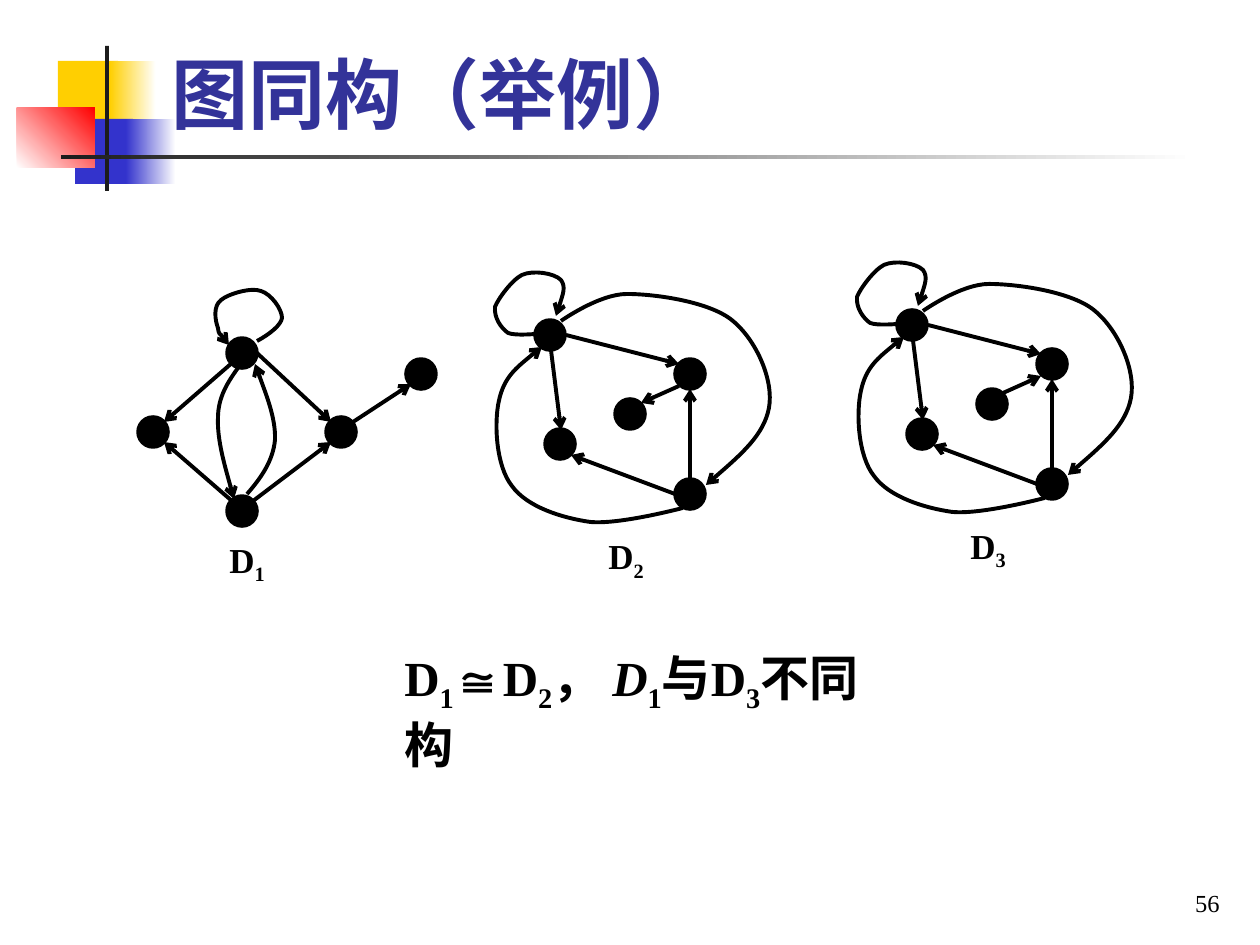
from lxml import etree
from pptx import Presentation
from pptx import util as u
from pptx.dml.color import RGBColor
from pptx.enum import shapes, text
from pptx.oxml.ns import qn

COLORS = {
    "yellow": "FFCF01", "blue": "3333CC", "red": "FF0000", "white": "FFFFFF",
    "dark": "1C1C1C", "title": "333399", "black": "000000",
}
SCALE = u.Inches(1) / 126
SERIF = "Times New Roman"
SUB = {"baseline": "-25000"}


def px(value):
    return u.Emu(round(value * SCALE))


def rgb(name):
    return RGBColor.from_string(COLORS[name])


class Sketch:
    def __init__(self, page):
        self.page = page
        self.canvas = page.shapes

    def start_group(self):
        group = self.page.shapes.add_group_shape()
        self.canvas = group.shapes
        return group

    def end_group(self):
        self.canvas = self.page.shapes

    def block(self, left, top, width, height, *names, angle=0):
        box = self.canvas.add_shape(
            shapes.MSO_SHAPE.RECTANGLE, *map(px, (left, top, width, height)))
        box.shadow.inherit = False
        box.line.fill.background()
        if len(names) == 1:
            box.fill.solid()
            box.fill.fore_color.rgb = rgb(names[0])
            return
        box.fill.gradient()
        box.fill.gradient_angle = angle
        for stop, name in zip(box.fill.gradient_stops, names):
            stop.color.rgb = rgb(name)

    def node(self, x, y, radius=15):
        dot = self.canvas.add_shape(
            shapes.MSO_SHAPE.OVAL, px(x - radius), px(y - radius),
            px(2 * radius), px(2 * radius))
        dot.shadow.inherit = False
        dot.fill.solid()
        dot.fill.fore_color.rgb = rgb("black")
        dot.line.color.rgb = rgb("black")
        dot.line.width = u.Pt(2)

    def ink(self, stroke, arrow):
        stroke.line.color.rgb = rgb("black")
        stroke.line.width = u.Pt(2.25)
        outline = stroke._element.spPr.find(qn("a:ln"))
        etree.SubElement(outline, qn(f"a:{arrow}End"), type="arrow")

    def edge(self, x1, y1, x2, y2, arrow="tail"):
        link = self.canvas.add_connector(
            shapes.MSO_CONNECTOR.STRAIGHT, *map(px, (x1, y1, x2, y2)))
        self.ink(link, arrow)
        etree.SubElement(link._element.spPr, qn("a:effectLst"))

    def curve(self, points, arrow="tail"):
        points = [(px(x), px(y)) for x, y in points]
        builder = self.canvas.build_freeform(*points[0], scale=1.0)
        builder.add_line_segments(points[1:], close=False)
        arc = builder.convert_to_shape()
        arc.shadow.inherit = False
        arc.fill.background()
        self.ink(arc, arrow)
        steps = list(arc._element.iter(qn("a:lnTo")))
        for first in range(0, len(steps), 3):
            bezier = etree.Element(qn("a:cubicBezTo"))
            steps[first].addprevious(bezier)
            for step in steps[first:first + 3]:
                bezier.append(step[0])
                step.getparent().remove(step)

    def words(self, left, top, width, height, spans, size, font=SERIF,
              color="black", bold=True, align=text.PP_ALIGN.LEFT,
              anchor=text.MSO_ANCHOR.TOP, wrap=True):
        box = self.canvas.add_textbox(*map(px, (left, top, width, height)))
        frame = {"word_wrap": wrap, "vertical_anchor": anchor}
        for key, value in frame.items():
            setattr(box.text_frame, key, value)
        para = box.text_frame.paragraphs[0]
        para.alignment = align
        for content, extra in spans:
            span = para.add_run()
            span.text = content
            style = {"name": font, "size": u.Pt(size), "bold": bold,
                     "italic": extra.get("italic", False)}
            for key, value in style.items():
                setattr(span.font, key, value)
            span.font.color.rgb = rgb(color)
            if "baseline" in extra:
                span._r.get_or_add_rPr().set("baseline", extra["baseline"])

    def label(self, left, top, number):
        self.words(left, top, 63, 55, [("D", {}), (number, SUB)], 20, wrap=False)


def draw_masthead(sketch):
    sketch.block(58, 61, 60, 65, "yellow")
    sketch.block(110, 61, 46, 65, "yellow", "white")
    sketch.block(75, 119, 58, 65, "blue")
    sketch.block(126, 119, 50, 65, "blue", "white")
    sketch.block(17, 108, 78, 60, "white", "red", angle=45)
    sketch.block(105, 46, 4, 145, "dark")
    sketch.block(61, 155, 1134, 4, "dark", "white")
    sketch.words(159, 10, 1074, 135, [("图同构（举例）", {})], 44, font="Lato",
                 color="title", anchor=text.MSO_ANCHOR.BOTTOM)


def draw_first_graph(sketch):
    sketch.start_group()
    for center in ((242, 353), (153, 432), (341, 432), (242, 511), (421, 374)):
        sketch.node(*center)
    for ends in ((232, 363, 164, 422), (257, 353, 331, 422),
                 (232, 501, 164, 442), (253, 501, 331, 442),
                 (353, 422, 411, 384)):
        sketch.edge(*ends)
    down = [(238, 368), (228, 382), (218, 397), (218, 418),
            (217, 441), (234, 499), (234, 499)]
    up = [(247, 494), (261, 478), (273, 461), (275, 440),
          (276, 418), (255, 364), (255, 364)]
    loop = [(257, 341), (270, 334), (281, 325), (282, 318),
            (282, 309), (271, 294), (261, 291), (251, 287), (228, 294),
            (221, 300), (213, 306), (215, 320), (218, 328),
            (219, 335), (229, 345), (229, 345)]
    for points in (down, up, loop):
        sketch.curve(points)
    sketch.label(217, 532, "1")
    sketch.end_group()


def draw_looped_graph(sketch, number, inner_arrow, dx=0, dy=0):
    group = sketch.start_group()
    for center in ((550, 335), (690, 374), (560, 444), (690, 494), (630, 414)):
        sketch.node(*center)
    for ends in ((566, 335, 679, 364), (551, 350, 561, 430),
                 (675, 494, 571, 455), (690, 479, 690, 389)):
        sketch.edge(*ends)
    sketch.edge(679, 386, 641, 403, inner_arrow)
    right = [(706, 485), (735, 460), (764, 435), (769, 408),
             (774, 381), (757, 341), (733, 321), (711, 302), (656, 294),
             (627, 294), (599, 294), (561, 321), (561, 321)]
    left = [(542, 347), (523, 362), (504, 377), (499, 401),
            (494, 423), (496, 466), (512, 486), (527, 507), (562, 518),
            (590, 522), (619, 525), (683, 508), (683, 508)]
    loop = [(556, 316), (561, 301), (566, 287), (561, 280),
            (554, 273), (533, 270), (522, 275), (512, 280), (498, 299),
            (495, 307), (494, 318), (501, 328), (508, 333),
            (515, 336), (536, 334), (536, 334)]
    for points in (right, left, loop):
        sketch.curve(points, "head")
    sketch.label(596, 528, number)
    group.left += px(dx)
    group.top += px(dy)
    sketch.end_group()


def main():
    deck = Presentation()
    deck.slide_width, deck.slide_height = u.Inches(10), u.Inches(7.5)
    sketch = Sketch(deck.slides.add_slide(deck.slide_layouts[6]))
    draw_masthead(sketch)
    draw_first_graph(sketch)
    draw_looped_graph(sketch, "2", "tail")
    draw_looped_graph(sketch, "3", "head", dx=362, dy=-10)
    conclusion = [("D", {}), ("1", SUB), ("≅D", {}), ("2", SUB), ("，", {}),
                  (" D", {"italic": True}), ("1", SUB), ("与D", {}),
                  ("3", SUB), ("不同构", {})]
    sketch.words(392, 641, 515, 72, conclusion, 28)
    sketch.words(970, 861, 262, 63, [("56", {})], 14, bold=False,
                 align=text.PP_ALIGN.RIGHT, anchor=text.MSO_ANCHOR.BOTTOM)
    deck.save("out.pptx")


if __name__ == "__main__":
    main()
